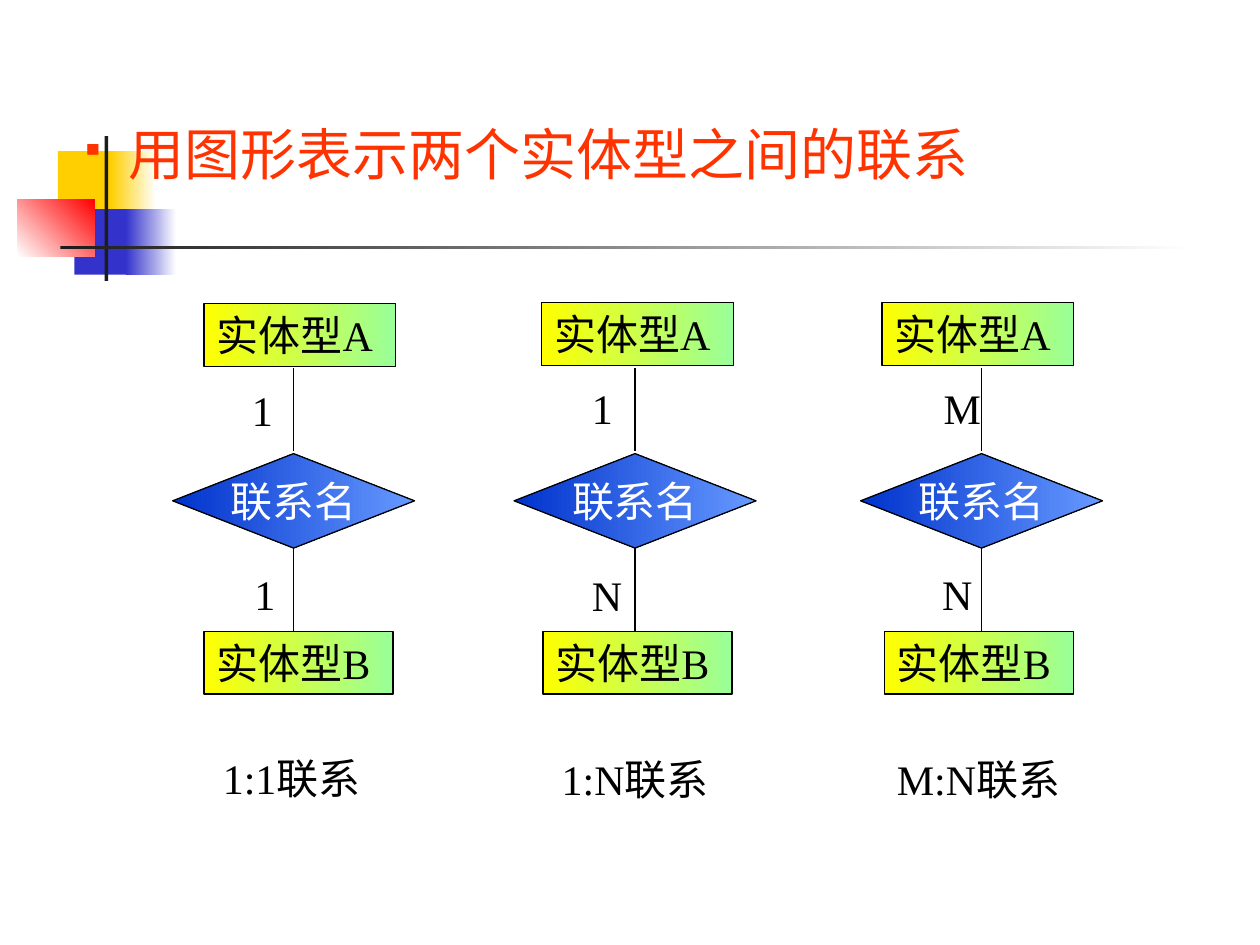
"""Build a slide that shows the three kinds of relationship between two entity types."""
from lxml import etree
from pptx import Presentation
from pptx.dml.color import RGBColor
from pptx.enum.shapes import MSO_CONNECTOR as Connector, MSO_SHAPE as Shape
from pptx.enum.text import MSO_ANCHOR as Anchor, MSO_AUTO_SIZE as AutoSize, PP_ALIGN as Align
from pptx.oxml.ns import qn
from pptx.util import Inches, Pt

FONT = "Times New Roman"
COLORS = {
    "gold": "FFCF01", "indigo": "3333CC", "red": "FF0000", "white": "FFFFFF",
    "ink": "1C1C1C", "black": "000000", "title": "FF3300",
    "yellow": "FFFF00", "mint": "99FF99", "blue": "0033CC", "sky": "6699FF",
}
TITLE = "用图形表示两个实体型之间的联系"
DECORATION = [
    ((0.46, 1.2, 0.48, 0.52), ["gold"], 0),
    ((0.88, 1.2, 0.36, 0.52), ["gold", "white"], 0),
    ((0.59, 1.66, 0.46, 0.52), ["indigo"], 0),
    ((1, 1.66, 0.4, 0.52), ["indigo", "white"], 0),
    ((0.14, 1.58, 0.61, 0.46), ["white", "red"], 45),
    ((0.83, 1.08, 0.03, 1.15), ["ink"], 0),
    ((0.48, 1.95, 9, 0.03), ["ink", "white"], 0),
]
ENTITY_COLORS = ["yellow", "mint"]
RELATION_COLORS = ["blue", "sky"]
DIAGRAMS = [
    {
        "center": 2.33,
        "entities": [("实体型A", 1.62, 2.41, 1.52), ("实体型B", 1.62, 5.01, 1.5)],
        "labels": [("1", 1.9, 3, 0.36), ("1", 1.92, 4.46, 0.36), ("1:1联系", 1.67, 5.92, 1.37)],
    },
    {
        "center": 5.04,
        "entities": [("实体型A", 4.3, 2.4, 1.52), ("实体型B", 4.31, 5.01, 1.5)],
        "labels": [("1", 4.6, 2.99, 0.36), ("N", 4.6, 4.47, 0.44), ("1:N联系", 4.36, 5.93, 1.44)],
    },
    {
        "center": 7.79,
        "entities": [("实体型A", 7, 2.4, 1.52), ("实体型B", 7.02, 5.01, 1.5)],
        "labels": [("M", 7.39, 2.99, 0.49), ("N", 7.38, 4.46, 0.44), ("M:N联系", 7.02, 5.93, 1.57)],
    },
]
TEXT_HEIGHT = 0.5
DIAMOND_TOP, DIAMOND_WIDTH, DIAMOND_HEIGHT = 3.6, 1.92, 0.75
LINK_SPANS = [(4.35, 5.01), (2.92, 3.58)]


def rgb(name):
    return RGBColor.from_string(COLORS[name])


def add_filled(shapes, kind, place, colors, angle=0, outlined=False):
    shape = shapes.add_shape(kind, *map(Inches, place))
    shape.shadow.inherit = False
    if len(colors) == 1:
        shape.fill.solid()
        shape.fill.fore_color.rgb = rgb(colors[0])
    else:
        shape.fill.gradient()
        shape.fill.gradient_angle = angle
        for stop, position, color in zip(shape.fill.gradient_stops, (0, 1), colors):
            stop.position = position
            stop.color.rgb = rgb(color)
    if outlined:
        shape.line.color.rgb = rgb("black")
        shape.line.width = Pt(0.75)
    else:
        shape.line.fill.background()
    return shape


def write(shape, text, color="black", size=24, align=Align.LEFT, anchor=Anchor.TOP,
          wrap=False, fit=AutoSize.SHAPE_TO_FIT_TEXT):
    frame = shape.text_frame
    frame.word_wrap = wrap
    frame.auto_size = fit
    frame.vertical_anchor = anchor
    para = frame.paragraphs[0]
    para.text = text
    para.alignment = align
    para.font.name = FONT
    para.font.size = Pt(size)
    para.font.color.rgb = rgb(color)
    return para


def add_bullet(para, color):
    para.space_before = Pt(8)
    properties = para._p.get_or_add_pPr()
    properties.set("marL", str(Inches(0.38)))
    properties.set("indent", str(Inches(-0.38)))
    bullet_color = etree.Element(qn("a:buClr"))
    etree.SubElement(bullet_color, qn("a:srgbClr"), val=COLORS[color])
    bullet_size = etree.Element(qn("a:buSzPct"), val="60000")
    bullet = etree.Element(qn("a:buChar"), char="▪")
    first = properties.find(qn("a:spcBef"))
    for element in (bullet, bullet_size, bullet_color):
        first.addnext(element)


def add_link(shapes, x, top, bottom):
    link = shapes.add_connector(Connector.STRAIGHT, *map(Inches, (x, top, x, bottom)))
    link.line.color.rgb = rgb("black")
    link.line.width = Pt(0.75)
    etree.SubElement(link._element.spPr, qn("a:effectLst"))


def add_diagram(shapes, diagram):
    for text, left, top, width in diagram["entities"]:
        box = add_filled(shapes, Shape.RECTANGLE, (left, top, width, TEXT_HEIGHT),
                         ENTITY_COLORS, outlined=True)
        write(box, text)
    center = diagram["center"]
    relation = shapes.add_group_shape().shapes
    place = (center - DIAMOND_WIDTH / 2, DIAMOND_TOP, DIAMOND_WIDTH, DIAMOND_HEIGHT)
    diamond = add_filled(relation, Shape.FLOWCHART_DECISION, place, RELATION_COLORS, outlined=True)
    write(diamond, "联系名", "white", align=Align.CENTER, anchor=Anchor.MIDDLE, fit=AutoSize.NONE)
    for top, bottom in LINK_SPANS:
        add_link(relation, center, top, bottom)
    for text, left, top, width in diagram["labels"]:
        write(shapes.add_textbox(*map(Inches, (left, top, width, TEXT_HEIGHT))), text)


def main():
    deck = Presentation()
    deck.slide_width, deck.slide_height = Inches(10), Inches(7.5)
    shapes = deck.slides.add_slide(deck.slide_layouts[6]).shapes
    for place, colors, angle in DECORATION:
        add_filled(shapes, Shape.RECTANGLE, place, colors, angle)
    title = shapes.add_textbox(*map(Inches, (0.54, 0.9, 7.79, 0.68)))
    add_bullet(write(title, TITLE, "title", 32, wrap=True, fit=AutoSize.NONE), "title")
    for diagram in DIAGRAMS:
        add_diagram(shapes, diagram)
    deck.save("out.pptx")


if __name__ == "__main__":
    main()
